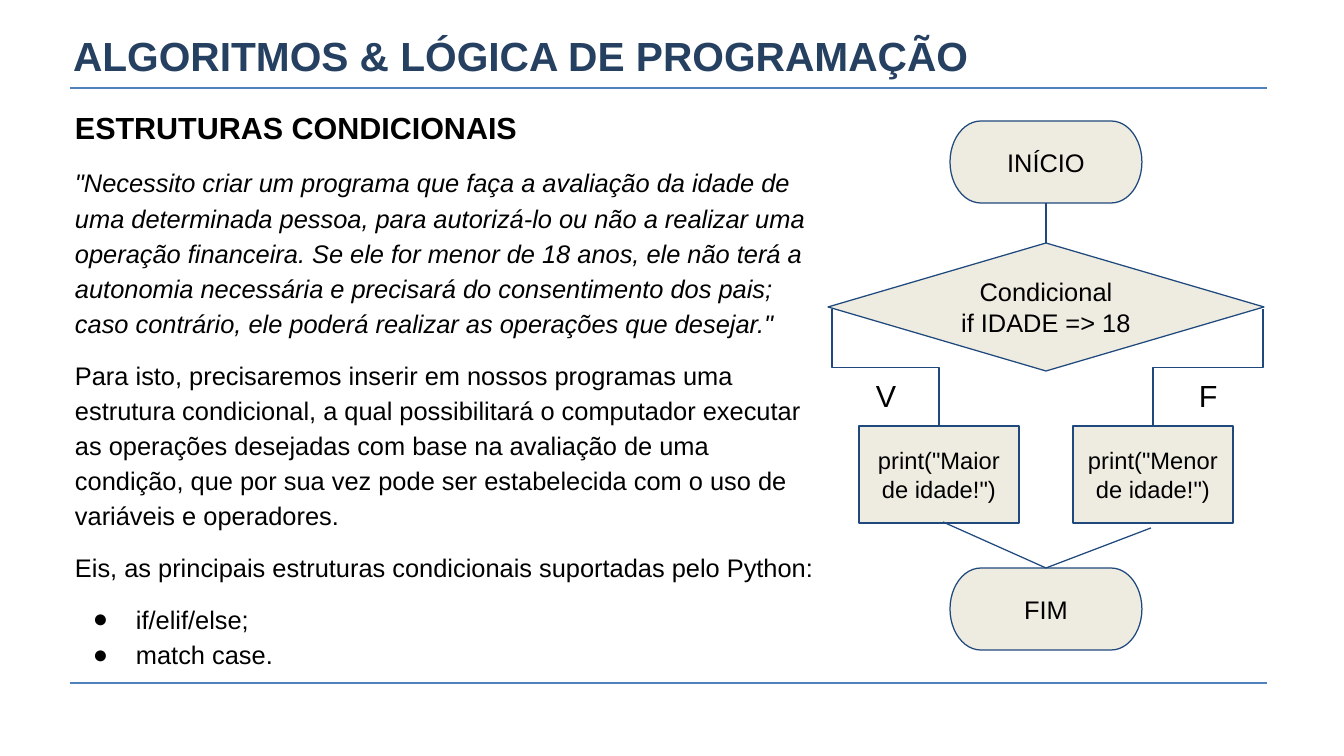
"""Build a slide on conditional structures with a flowchart."""
from lxml.etree import SubElement
from pptx import Presentation
from pptx.dml.color import RGBColor
from pptx.enum.shapes import MSO_CONNECTOR, MSO_SHAPE
from pptx.enum.text import MSO_ANCHOR, MSO_AUTO_SIZE, PP_ALIGN
from pptx.oxml.ns import qn
from pptx.util import Emu, Pt

NAVY = RGBColor(0x25, 0x40, 0x61)
RULE = RGBColor(0x4F, 0x81, 0xBD)
EDGE = RGBColor(0x1F, 0x49, 0x7D)
CREAM = RGBColor(0xEE, 0xEC, 0xE1)
BLACK = RGBColor(0, 0, 0)
WHITE = RGBColor(255, 255, 255)

TITLE = "ALGORITMOS & LÓGICA DE PROGRAMAÇÃO"
HEAD = "ESTRUTURAS CONDICIONAIS"
QUOTE = (
    '"Necessito criar um programa que faça a avaliação da idade de uma '
    "determinada pessoa, para autorizá-lo ou não a realizar uma operação "
    "financeira. Se ele for menor de 18 anos, ele não terá a autonomia "
    "necessária e precisará do consentimento dos pais; caso contrário, ele "
    'poderá realizar as operações que desejar."'
)
NEED = (
    "Para isto, precisaremos inserir em nossos programas uma estrutura "
    "condicional, a qual possibilitará o computador executar as operações "
    "desejadas com base na avaliação de uma condição, que por sua vez pode "
    "ser estabelecida com o uso de variáveis e operadores."
)
LIST = "Eis, as principais estruturas condicionais suportadas pelo Python:"
# text, size, bold, italic, space before, bullet
BODY = [
    (HEAD, 18, True, False, 0, False),
    (QUOTE, 15, False, True, 10, False),
    (NEED, 15, False, False, 10, False),
    (LIST, 15, False, False, 10, False),
    ("if/elif/else;", 15, False, False, 10, True),
    ("match case.", 15, False, False, 0, True),
]

MID, SIDE = 1046, 107
LEFT, RIGHT = MID - SIDE, MID + SIDE
OVAL, GEM, BOX = (
    MSO_SHAPE.FLOWCHART_TERMINATOR,
    MSO_SHAPE.FLOWCHART_DECISION,
    MSO_SHAPE.RECTANGLE,
)
# kind, centre x, top, width, height, text, size
NODES = [
    (OVAL, MID, 121, 192, 82, "INÍCIO", 15),
    (GEM, MID, 243, 436, 128, "Condicional\nif IDADE => 18", 15),
    (BOX, LEFT, 426, 160, 97, 'print("Maior de idade!")', 14),
    (BOX, RIGHT, 426, 160, 97, 'print("Menor de idade!")', 14),
    (OVAL, MID, 568, 192, 82, "FIM", 15),
]
LINKS = [
    (MID, 203, MID, 243),
    (943, 522, MID, 568),
    (1151, 528, MID, 568),
]
BENDS = [(832, 309, LEFT, 426, 270), (1263, 309, RIGHT, 426, 90)]
TAGS = [("V", 864), ("F", 1187)]
RULES = [88, 683]


def px(num):
    return Emu(round(num * 914400 / 122))


def style(para, size, color=BLACK, bold=False, italic=False):
    for run in para.runs:
        font = run.font
        font.name, font.size = "Arial", Pt(size)
        font.bold, font.italic = bold, italic
        font.color.rgb = color


def inset(frame, gap):
    frame.word_wrap = True
    frame.margin_left = frame.margin_right = px(gap)
    frame.margin_top = frame.margin_bottom = px(gap)


def bullet(para):
    props = para._p.get_or_add_pPr()
    props.set("marL", str(px(61)))
    props.set("indent", str(-px(43)))
    tint = SubElement(props, qn("a:buClr"))
    SubElement(tint, qn("a:srgbClr"), val=str(BLACK))
    SubElement(props, qn("a:buFont"), typeface="Arial")
    SubElement(props, qn("a:buChar"), char="●")


def link(slide, ends, color=EDGE, width=0.75, kind=MSO_CONNECTOR.STRAIGHT):
    line = slide.shapes.add_connector(kind, *map(px, ends))
    line.line.color.rgb = color
    line.line.width = Pt(width)
    SubElement(line._element.spPr, qn("a:effectLst"))
    return line


def bend(slide, x1, y1, x2, y2, turn):
    midx, midy = (x1 + x2) / 2, (y1 + y2) / 2
    wide, high = (y2 - y1) / 2, abs(x2 - x1) / 2
    flip = -1 if turn == 270 else 1
    ends = (midx - flip * wide, midy - high, midx + flip * wide, midy + high)
    line = link(slide, ends, kind=MSO_CONNECTOR.ELBOW)
    line._element.spPr.find(qn("a:xfrm")).set("rot", str(turn * 60000))


def node(slide, kind, mid, top, wide, high, text, size):
    box = map(px, (mid - wide / 2, top, wide, high))
    shape = slide.shapes.add_shape(kind, *box)
    shape.shadow.inherit = False
    shape.fill.solid()
    shape.fill.fore_color.rgb = CREAM
    shape.line.color.rgb = EDGE
    shape.line.width = Pt(0.75)
    frame = shape.text_frame
    inset(frame, 12)
    frame.vertical_anchor = MSO_ANCHOR.MIDDLE
    frame.text = text
    for para in frame.paragraphs:
        para.alignment = PP_ALIGN.CENTER
        style(para, size)


def head(slide):
    title = slide.shapes.title
    title.left, title.top, title.width, title.height = map(
        px, (73, 27, 1198, 57)
    )
    frame = title.text_frame
    inset(frame, 0)
    frame.auto_size = MSO_AUTO_SIZE.NONE
    frame.vertical_anchor = MSO_ANCHOR.MIDDLE
    frame.text = TITLE
    frame.paragraphs[0].alignment = PP_ALIGN.LEFT
    style(frame.paragraphs[0], 24, NAVY, True)


def body(slide):
    frame = slide.shapes.add_textbox(*map(px, (63, 92, 766, 588))).text_frame
    inset(frame, 12)
    frame.text = "\n".join(row[0] for row in BODY)
    for para, row in zip(frame.paragraphs, BODY):
        text, size, bold, italic, space, dot = row
        if dot:
            bullet(para)
        para.line_spacing = 1.15
        para.space_before = Pt(space)
        style(para, size, BLACK, bold, italic)


def main():
    deck = Presentation()
    deck.slide_width, deck.slide_height = px(1344), px(756)
    slide = deck.slides.add_slide(deck.slide_layouts[5])
    slide.background.fill.solid()
    slide.background.fill.fore_color.rgb = WHITE
    for y in RULES:
        link(slide, (70, y, 1267, y), RULE, 1)
    head(slide)
    body(slide)
    for row in NODES:
        node(slide, *row)
    for ends in LINKS:
        link(slide, ends)
    for row in BENDS:
        bend(slide, *row)
    for text, left in TAGS:
        tag = slide.shapes.add_textbox(*map(px, (left, 365, 44, 61)))
        inset(tag.text_frame, 12)
        tag.text_frame.text = text
        style(tag.text_frame.paragraphs[0], 18)
    deck.save("out.pptx")


if __name__ == "__main__":
    main()
